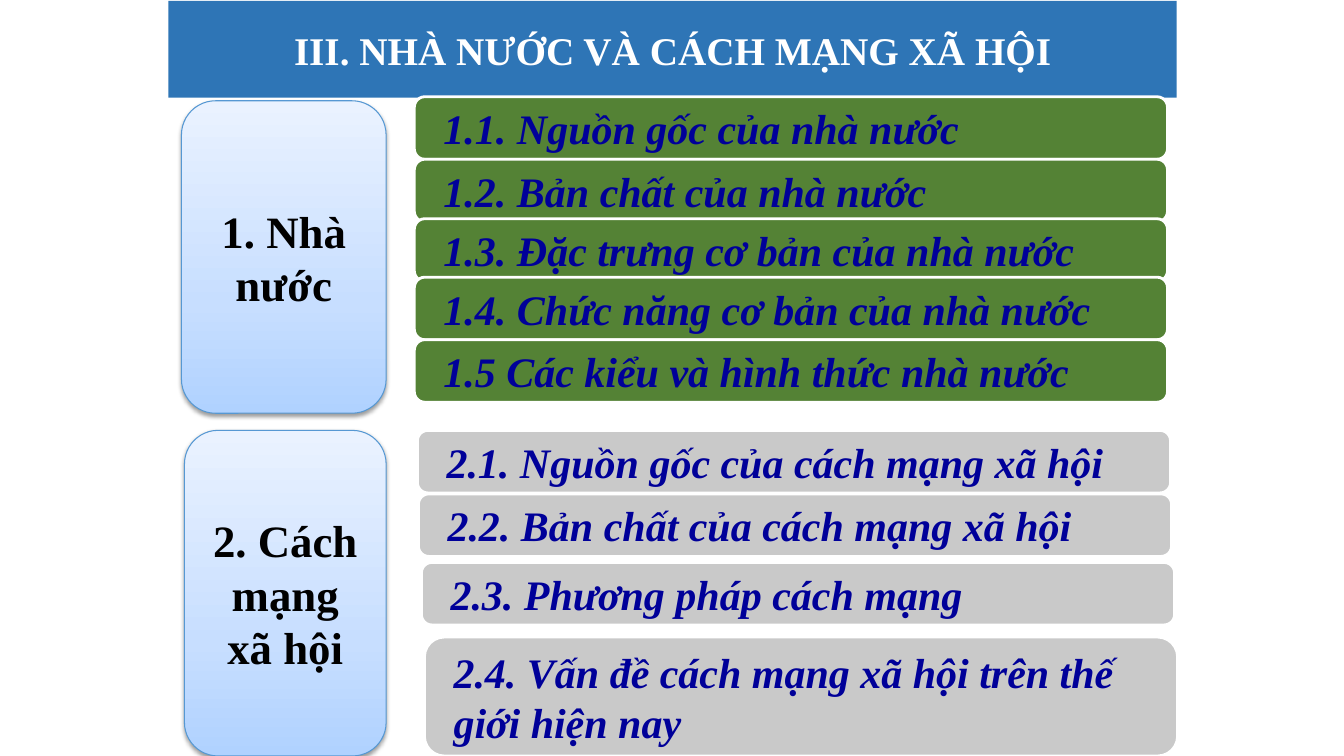
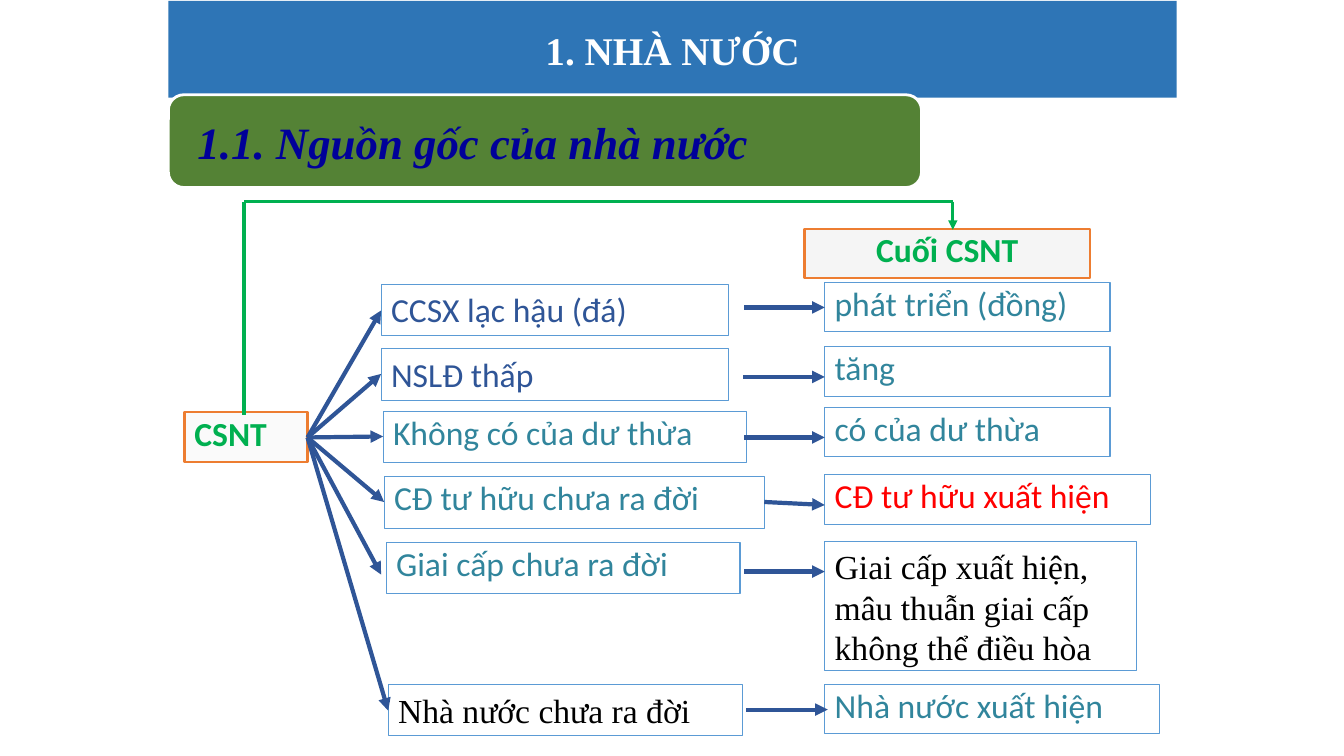
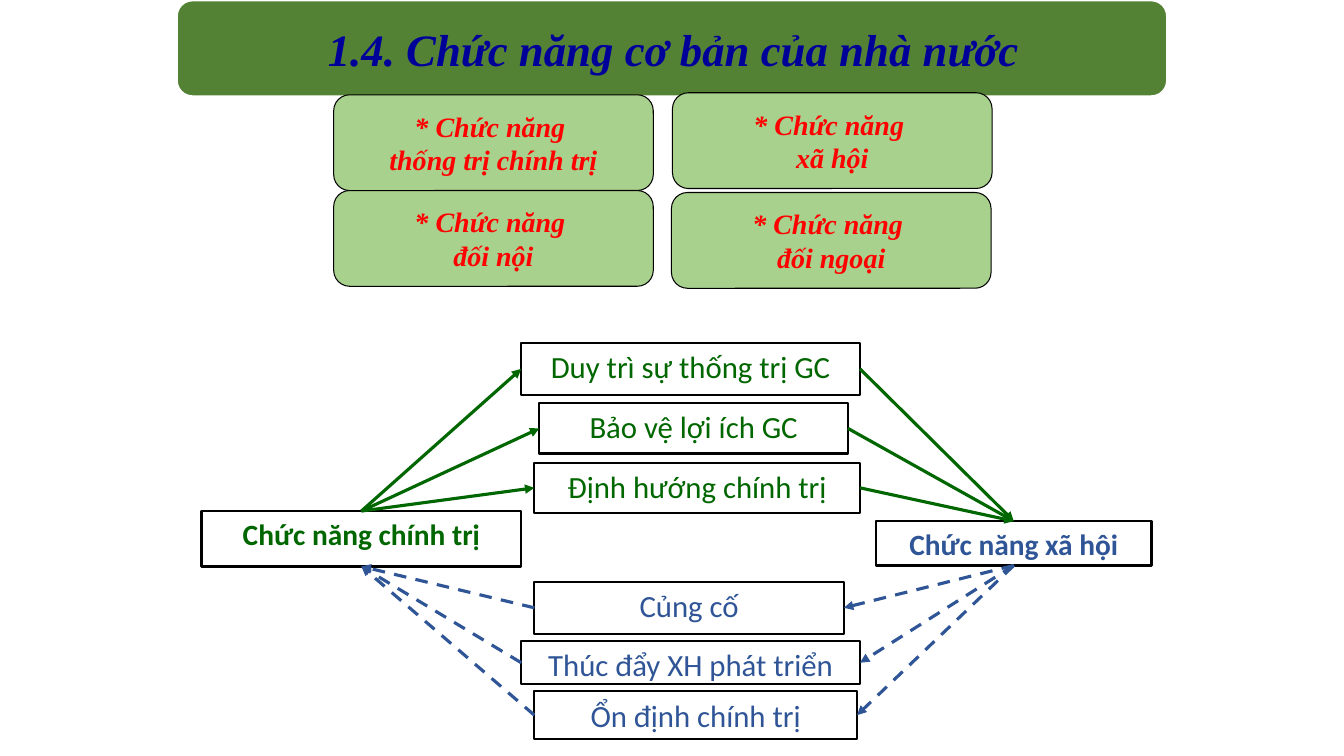
from lxml import etree
from pptx import Presentation
from pptx.dml.color import RGBColor
from pptx.enum.dml import MSO_LINE
from pptx.enum.shapes import MSO_CONNECTOR, MSO_SHAPE
from pptx.enum.text import MSO_ANCHOR, PP_ALIGN
from pptx.oxml.ns import qn
from pptx.util import Inches, Pt

RECT = MSO_SHAPE.RECTANGLE
ROUND = MSO_SHAPE.ROUNDED_RECTANGLE
CARD = MSO_SHAPE.FLOWCHART_ALTERNATE_PROCESS
STRAIGHT = MSO_CONNECTOR.STRAIGHT
DASH = MSO_LINE.DASH
LEFT, CENTER = PP_ALIGN.LEFT, PP_ALIGN.CENTER
TOP, MIDDLE = MSO_ANCHOR.TOP, MSO_ANCHOR.MIDDLE

WHITE = RGBColor(0xFF, 0xFF, 0xFF)
BLACK = RGBColor(0, 0, 0)
BAND = RGBColor(0x2E, 0x75, 0xB6)
GREEN = RGBColor(0x54, 0x82, 0x35)
GRAY = RGBColor(0xC9, 0xC9, 0xC9)
NAVY = RGBColor(0x00, 0x00, 0x99)
EDGE = RGBColor(0x56, 0x98, 0xD3)
SKY = RGBColor(0x5B, 0x9B, 0xD5)
BLUE = RGBColor(0x2F, 0x55, 0x97)
TEAL = RGBColor(0x31, 0x85, 0x9C)
RED = RGBColor(0xFF, 0, 0)
ORANGE = RGBColor(0xED, 0x7D, 0x31)
LIME = RGBColor(0x00, 0xB0, 0x50)
PALE = RGBColor(0xFA, 0xFA, 0xFA)
SMOKE = RGBColor(0xF5, 0xF5, 0xF5)
FOREST = RGBColor(0x00, 0x66, 0x00)
LEAF = RGBColor(0xA9, 0xD1, 0x8E)
STOPS = (
    (0, RGBColor(0xB0, 0xD2, 0xFF)),
    (35, RGBColor(0xC7, 0xDE, 0xFF)),
    (100, RGBColor(0xEA, 0xF2, 0xFF)),
)

TIMES, CALIBRI = "Times New Roman", "Calibri"
CORNER = 0.05

TIGHT = dict(color=TEAL, spacing=0.9)
ALERT = dict(color=RED, spacing=0.9)
PLAIN = dict(color=BLUE)
SERIF = dict(color=BLACK, font=TIMES)
STAGE = dict(color=LIME, spacing=0.9, bold=True)


def write(shape, text, font=CALIBRI, size=24, color=BLACK, bold=False,
          italic=False, align=LEFT, anchor=TOP, side=0.1, edge=0.05,
          spacing=1.0, wrap=True):
    frame = shape.text_frame
    frame.word_wrap = wrap
    frame.vertical_anchor = anchor
    frame.margin_left = frame.margin_right = Inches(side)
    frame.margin_top = frame.margin_bottom = Inches(edge)
    frame.text = text
    for para in frame.paragraphs:
        para.alignment = align
        para.line_spacing = spacing
        face = para.font
        face.name, face.size = font, Pt(size)
        face.bold, face.italic = bold, italic
        face.color.rgb = color


def place(shape, at):
    shape.left, shape.top, shape.width, shape.height = map(Inches, at)


def draw(slide, kind, at, fill=None, line=BLACK, width=0.75):
    shape = slide.shapes.add_shape(kind, *map(Inches, at))
    shape.shadow.inherit = False
    if fill is None:
        shape.fill.background()
    else:
        shape.fill.solid()
        shape.fill.fore_color.rgb = fill
    shape.line.color.rgb = line
    shape.line.width = Pt(width)
    return shape


def link(slide, start, end, color, width, arrow=True, dash=None):
    wire = slide.shapes.add_connector(STRAIGHT, *map(Inches, start + end))
    wire.line.color.rgb = color
    wire.line.width = Pt(width)
    if dash:
        wire.line.dash_style = dash
    props = wire.element.spPr
    if arrow:
        etree.SubElement(props.find(qn("a:ln")), qn("a:tailEnd"), type="triangle")
    etree.SubElement(props, qn("a:effectLst"))


def tint(parent, color):
    return etree.SubElement(parent, qn("a:srgbClr"), val=str(color))


def glow(shape):
    shape.fill.gradient()
    shape.fill.gradient_angle = 90
    props = shape.element.spPr
    stops = props.find(".//" + qn("a:gsLst"))
    for stop in list(stops):
        stops.remove(stop)
    for pos, color in STOPS:
        tint(etree.SubElement(stops, qn("a:gs"), pos=str(pos * 1000)), color)
    shade = etree.SubElement(
        props.find(qn("a:effectLst")), qn("a:outerShdw"),
        blurRad=str(Pt(3.1)), dist=str(Pt(1.6)), dir="5400000", rotWithShape="0")
    etree.SubElement(tint(shade, BLACK), qn("a:alpha"), val="38000")


def head(slide, text):
    title = slide.shapes.title
    place(title, (1.67, 0.01, 10, 0.96))
    title.fill.solid()
    title.fill.fore_color.rgb = BAND
    write(title, text, font=TIMES, size=28, color=WHITE, bold=True,
          align=CENTER, anchor=MIDDLE)


def bar(slide, at, text, fill, size=30):
    shape = draw(slide, ROUND, at, fill, WHITE, 2)
    write(shape, text, font=TIMES, size=size, color=NAVY, bold=True,
          italic=True, anchor=MIDDLE, side=0.29 - CORNER * at[3], edge=0)


def topic(slide, at, name, fill, items):
    x, y, w, h = at
    panel = draw(slide, ROUND, at, WHITE, EDGE)
    glow(panel)
    write(panel, name, font=TIMES, size=32, bold=True, align=CENTER,
          anchor=MIDDLE, side=0.15, edge=0)
    for dx, dy, high, text in items:
        bar(slide, (x + dx, y + dy, 7.47, high), text, fill)


def stages(slide, x, y):
    def spot(dx, dy):
        return x + dx, y + dy

    def note(dx, dy, w, h, text, look, **form):
        shape = draw(slide, RECT, (x + dx, y + dy, w, h), **form)
        write(shape, text, **look)

    hub = spot(1.22, 2.34)
    note(0, 2.09, 1.22, 0.49, "CSNT", STAGE, fill=PALE, line=ORANGE, width=1.5)
    note(6.15, 0.27, 2.83, 0.49, "Cuối CSNT", dict(STAGE, align=CENTER),
         fill=SMOKE, line=ORANGE, width=1.5)
    early = (
        (1.95, 0.82, 3.45, "CCSX lạc hậu (đá)", PLAIN, (1.95, 1.08)),
        (1.95, 1.46, 3.45, "NSLĐ thấp", PLAIN, (1.95, 1.71)),
        (1.97, 2.08, 3.6, "Không có của dư thừa", TIGHT, (1.97, 2.33)),
        (1.98, 2.73, 3.77, "CĐ tư hữu chưa ra đời", TIGHT, (1.98, 2.98)),
        (2, 3.38, 3.51, "Giai cấp chưa ra đời", TIGHT, (1.95, 3.7)),
        (2.02, 4.79, 3.51, "Nhà nước chưa ra đời", SERIF, (2.02, 5.05)),
    )
    for dx, dy, w, text, look, end in early:
        note(dx, dy, w, 0.51, text, look, line=SKY)
        link(slide, hub, spot(*end), BLUE, 3)
    late = (
        (0.8, 2.83, 0.49, "phát triển (đồng)", TIGHT, (5.55, 1.05), (6.35, 1.05)),
        (1.44, 2.83, 0.49, "tăng", TIGHT, (5.54, 1.74), (6.35, 1.74)),
        (2.04, 2.83, 0.49, "có của dư thừa", TIGHT, (5.55, 2.34), (6.35, 2.34)),
        (2.71, 3.23, 0.49, "CĐ tư hữu xuất hiện", ALERT, (5.75, 2.98), (6.35, 3.01)),
        (3.37, 3.09, 1.28, "Giai cấp xuất hiện, mâu thuẫn giai cấp không thể điều hòa",
         SERIF, (5.55, 3.67), (6.35, 3.67)),
        (4.79, 3.32, 0.49, "Nhà nước xuất hiện", TIGHT, (5.57, 5.04), (6.38, 5.04)),
    )
    for dy, w, h, text, look, start, end in late:
        note(6.35, dy, w, h, text, look, line=SKY)
        link(slide, spot(*start), spot(*end), BLUE, 3)
    left, right = spot(0.59, 0), spot(7.62, 0)
    link(slide, left, right, LIME, 2.25, arrow=False)
    link(slide, left, spot(0.59, 2.12), LIME, 2.25, arrow=False)
    link(slide, right, spot(7.62, 0.28), LIME, 2.25)


def cards(slide, x, y):
    items = (
        (0, 0.02, "thống trị chính trị"),
        (3.36, 0, "xã hội"),
        (0, 0.97, "đối nội"),
        (3.35, 0.99, "đối ngoại"),
    )
    for dx, dy, text in items:
        card = draw(slide, CARD, (x + dx, y + dy, 3.17, 0.95), LEAF)
        write(card, "* Chức năng \n" + text, font=TIMES, size=20, color=RED,
              bold=True, italic=True, align=CENTER, anchor=MIDDLE, wrap=False)


def web(slide, x, y):
    def cell(dx, dy, w, h, text, color, **form):
        shape = draw(slide, RECT, (x + dx, y + dy, w, h), form.get("fill"),
                     width=form.get("width", 1.5))
        write(shape, text, color=color, size=form.get("size", 22),
              bold=form.get("bold", False), align=CENTER)
        mid, half = x + dx + w / 2, y + dy + h / 2
        return ((x + dx, half), (x + dx + w, half),
                (mid, y + dy), (mid, y + dy + h))

    hub = dict(width=1.75, size=21, bold=True)
    state = cell(0, 1.67, 3.17, 0.55, "Chức năng chính trị", FOREST, fill=WHITE, **hub)
    social = cell(6.69, 1.77, 2.73, 0.44, "Chức năng xã hội", BLUE, **hub)
    upper = (
        (3.17, 0, 3.36, 0.52, "Duy trì sự thống trị GC"),
        (3.35, 0.6, 3.06, 0.5, "Bảo vệ lợi ích GC"),
        (3.3, 1.19, 3.23, 0.5, "Định hướng chính trị"),
    )
    lower = (
        (3.3, 2.37, 3.07, 0.52, "Củng cố"),
        (3.17, 2.96, 3.36, 0.43, "Thúc đẩy XH phát triển"),
        (3.3, 3.46, 3.2, 0.47, "Ổn định chính trị"),
    )
    for item in upper:
        left, right = cell(*item, FOREST)[:2]
        link(slide, state[2], left, FOREST, 2.25)
        link(slide, right, social[2], FOREST, 2.25)
    for item in lower:
        left, right = cell(*item, BLUE)[:2]
        link(slide, social[3], right, BLUE, 2.25, dash=DASH)
        link(slide, left, state[3], BLUE, 2.25, dash=DASH)


def outline(slide):
    head(slide, "III. NHÀ NƯỚC VÀ CÁCH MẠNG XÃ HỘI")
    topic(slide, (1.83, 4.27, 2, 3.23), "2. Cách mạng xã hội", GRAY, (
        (2.31, 0, 0.62, "2.1. Nguồn gốc của cách mạng xã hội"),
        (2.32, 0.63, 0.62, "2.2. Bản chất của cách mạng xã hội"),
        (2.35, 1.31, 0.62, "2.3. Phương pháp cách mạng"),
        (2.38, 2.05, 1.18, "2.4. Vấn đề cách mạng xã hội trên thế giới hiện nay"),
    ))
    topic(slide, (1.8, 1, 2.03, 3.1), "1. Nhà nước", GREEN, (
        (2.31, -0.04, 0.62, "1.1. Nguồn gốc của nhà nước"),
        (2.31, 0.58, 0.62, "1.2. Bản chất của nhà nước"),
        (2.31, 1.17, 0.62, "1.3. Đặc trưng cơ bản của nhà nước"),
        (2.31, 1.75, 0.62, "1.4. Chức năng cơ bản của nhà nước"),
        (2.31, 2.37, 0.62, "1.5 Các kiểu và hình thức nhà nước"),
    ))


def origin(slide):
    head(slide, "1. NHÀ NƯỚC")
    bar(slide, (1.67, 0.94, 7.47, 0.92), "1.1. Nguồn gốc của nhà nước", GREEN, 32)
    stages(slide, 1.83, 2)


def roles(slide):
    title = slide.shapes.title
    place(title, (1.82, 0.05, 9.72, 0.87))
    write(title, "1.4. Chức năng cơ bản của nhà nước", font=TIMES, size=32,
          color=NAVY, bold=True, italic=True, align=CENTER, anchor=MIDDLE,
          side=0.24, edge=0)
    back = draw(slide, ROUND, (1.75, 0, 9.83, 0.96), GREEN, WHITE, 2)
    title.element.addprevious(back.element)
    web(slide, 2, 3.4)
    cards(slide, 3.31, 0.92)


def main():
    deck = Presentation()
    deck.slide_width, deck.slide_height = Inches(13.33), Inches(7.5)
    for build in (outline, origin, roles):
        build(deck.slides.add_slide(deck.slide_layouts[5]))
    deck.save("out.pptx")


if __name__ == "__main__":
    main()
